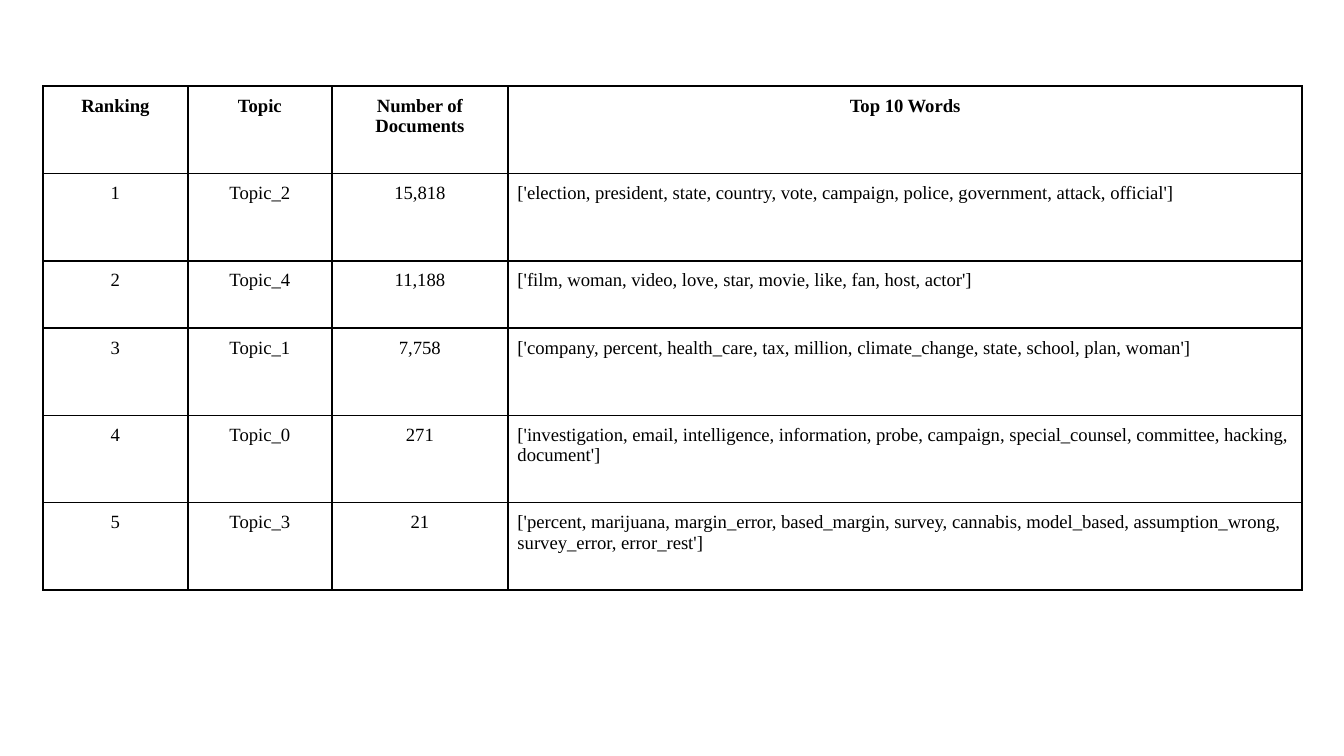
from dataclasses import astuple, dataclass

from lxml.etree import SubElement
from pptx import Presentation
from pptx.dml.color import RGBColor
from pptx.enum.text import MSO_ANCHOR as Anchor, PP_ALIGN as Align
from pptx.oxml.ns import qn
from pptx.table import Table, _Cell as Cell
from pptx.util import Cm, Pt

COLORS = {"ink": "000000", "paper": "FFFFFF"}
FONT = "Times New Roman"
COLUMN_WIDTHS = (2.74, 2.72, 3.33, 15.01)
ROW_HEIGHT, SHORT_ROW_HEIGHT = 1.65, 1.27
SHORT_ROW = 2
PADDING = Cm(0.18)


@dataclass(frozen=True)
class TopicRow:
    ranking: str
    topic: str
    documents: str
    top_words: str


HEADER = TopicRow("Ranking", "Topic", "Number of Documents", "Top 10 Words")
TOPICS = (
    TopicRow("1", "Topic_2", "15,818",
             "['election, president, state, country, vote, campaign, police, "
             "government, attack, official']"),
    TopicRow("2", "Topic_4", "11,188",
             "['film, woman, video, love, star, movie, like, fan, host, actor']"),
    TopicRow("3", "Topic_1", "7,758",
             "['company, percent, health_care, tax, million, climate_change, "
             "state, school, plan, woman']"),
    TopicRow("4", "Topic_0", "271",
             "['investigation, email, intelligence, information, probe, campaign, "
             "special_counsel, committee, hacking, document']"),
    TopicRow("5", "Topic_3", "21",
             "['percent, marijuana, margin_error, based_margin, survey, cannabis, "
             "model_based, assumption_wrong, survey_error, error_rest']"),
)


def draw_borders(cell: Cell) -> None:
    """Outline all four sides of a cell."""
    properties = cell._tc.get_or_add_tcPr()
    for side in ("lnL", "lnR", "lnT", "lnB"):
        border = SubElement(properties, qn(f"a:{side}"), w=str(Pt(1)))
        fill = SubElement(border, qn("a:solidFill"))
        SubElement(fill, qn("a:srgbClr"), val=COLORS["ink"])


def fill_cell(cell: Cell, text: str, bold: bool, align: Align) -> None:
    """Style one cell and write its text."""
    draw_borders(cell)
    cell.fill.solid()
    cell.fill.fore_color.rgb = RGBColor.from_string(COLORS["paper"])
    cell.margin_left = cell.margin_right = PADDING
    cell.margin_top = cell.margin_bottom = PADDING
    cell.vertical_anchor = Anchor.TOP
    paragraph = cell.text_frame.paragraphs[0]
    paragraph.alignment = align
    paragraph.space_before = paragraph.space_after = Pt(12)
    run = paragraph.add_run()
    run.text = text
    run.font.name, run.font.size, run.font.bold = FONT, Pt(10), bold
    run.font.color.rgb = RGBColor.from_string(COLORS["ink"])


def fill_table(table: Table, rows: tuple[TopicRow, ...]) -> None:
    """Size the grid and fill in every topic."""
    table.horz_banding = table.first_row = False
    for column, width in zip(table.columns, COLUMN_WIDTHS):
        column.width = Cm(width)
    for i, entry in enumerate(rows):
        table.rows[i].height = Cm(SHORT_ROW_HEIGHT if i == SHORT_ROW else ROW_HEIGHT)
        is_header = entry is HEADER
        for j, text in enumerate(astuple(entry)):
            is_words = j == len(COLUMN_WIDTHS) - 1
            align = Align.LEFT if is_words and not is_header else Align.CENTER
            fill_cell(table.cell(i, j), text, is_header, align)


def main() -> None:
    """Build the topic ranking slide."""
    deck = Presentation()
    deck.slide_width, deck.slide_height = Cm(25.4), Cm(14.29)
    slide = deck.slides.add_slide(deck.slide_layouts[6])
    rows = (HEADER, *TOPICS)
    height = ROW_HEIGHT * (len(rows) - 1) + SHORT_ROW_HEIGHT
    ranking = slide.shapes.add_table(
        len(rows), len(COLUMN_WIDTHS),
        Cm(0.81), Cm(1.63), Cm(sum(COLUMN_WIDTHS)), Cm(height))
    fill_table(ranking.table, rows)
    deck.save("out.pptx")


if __name__ == "__main__":
    main()
